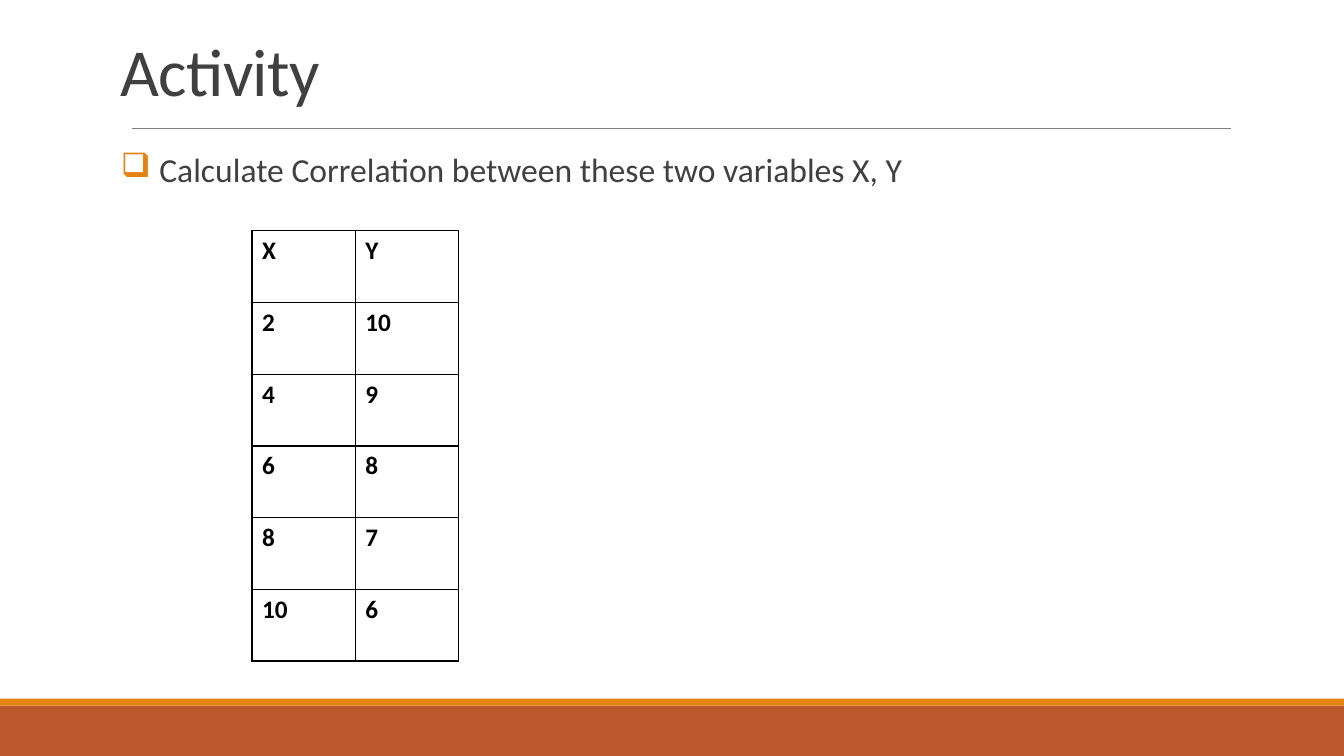
from lxml import etree
from pptx import Presentation, util as u
from pptx.dml.color import RGBColor
from pptx.enum import shapes, text
from pptx.oxml.ns import qn

WIDTH, HEIGHT = u.Inches(13.33), u.Inches(7.5)
FONT = "Calibri"
COLORS = {"base": "BD582C", "accent": "E48312", "rule": "808080",
          "text": "404040", "grid": "000000"}
POINTS = [("X", "Y"), (2, 10), (4, 9), (6, 8), (8, 7), (10, 6)]


def across(percent):
    return u.Emu(round(WIDTH * percent / 100))


def down(percent):
    return u.Emu(round(HEIGHT * percent / 100))


def area(left, top, width, height):
    """Turn percentages of the slide into a position and size."""
    return across(left), down(top), across(width), down(height)


def color(name):
    return RGBColor.from_string(COLORS[name])


def add_solid(parent, name):
    fill = etree.SubElement(parent, qn("a:solidFill"))
    etree.SubElement(fill, qn("a:srgbClr"), val=COLORS[name])


def write(frame, wording, size, ink="text", bold=False, line=1.0,
          after=0, tracking=None, bullet=None, indent=0):
    """Fill a text frame with one formatted paragraph."""
    frame.word_wrap = True
    paragraph = frame.paragraphs[0]
    paragraph.line_spacing = line
    paragraph.space_before = u.Pt(0)
    paragraph.space_after = u.Pt(after)
    if bullet:
        props = paragraph._p.get_or_add_pPr()
        props.set("marL", str(u.Inches(indent)))
        props.set("indent", str(-u.Inches(indent)))
        tint = etree.SubElement(props, qn("a:buClr"))
        etree.SubElement(tint, qn("a:srgbClr"), val=COLORS["accent"])
        etree.SubElement(props, qn("a:buChar"), char=bullet)
    run = paragraph.add_run()
    run.text = wording
    run.font.name, run.font.size, run.font.bold = FONT, u.Pt(size), bold
    run.font.color.rgb = color(ink)
    if tracking:
        run._r.get_or_add_rPr().set("spc", str(round(tracking * 100)))


def add_band(slide, top, height, name):
    band = slide.shapes.add_shape(shapes.MSO_SHAPE.RECTANGLE,
                                  *area(0, top, 100, height))
    band.shadow.inherit = False
    band.fill.solid()
    band.fill.fore_color.rgb = color(name)
    band.line.fill.background()


def add_rule(slide, start, end, level):
    rule = slide.shapes.add_connector(shapes.MSO_CONNECTOR.STRAIGHT, across(start),
                                      down(level), across(end), down(level))
    rule.line.color.rgb = color("rule")
    rule.line.width = u.Pt(0.5)
    etree.SubElement(rule._element.spPr, qn("a:effectLst"))


def add_title(slide, wording):
    frame = slide.shapes.add_textbox(*area(8.25, 0.8, 82.5, 14.4)).text_frame
    frame.vertical_anchor = text.MSO_ANCHOR.BOTTOM
    write(frame, wording, 48, line=0.85, tracking=-0.5)


def add_task(slide, wording):
    frame = slide.shapes.add_textbox(*area(9, 19.6, 82.5, 66)).text_frame
    frame.margin_left = frame.margin_right = 0
    write(frame, wording, 24, line=0.9, after=2, bullet="❑", indent=0.38)


def outline(cell):
    props = cell._tc.get_or_add_tcPr()
    for place, side in enumerate(("a:lnL", "a:lnR", "a:lnT", "a:lnB")):
        border = etree.Element(qn(side), w=str(u.Pt(1)))
        add_solid(border, "grid")
        props.insert(place, border)


def add_points(slide, points, left, top, column, row):
    rows, columns = len(points), len(points[0])
    grid = slide.shapes.add_table(rows, columns, *area(
        left, top, column * columns, row * rows)).table
    grid.first_row = grid.horz_banding = False
    for r, values in enumerate(points):
        for c, value in enumerate(values):
            cell = grid.cell(r, c)
            cell.fill.background()
            outline(cell)
            write(cell.text_frame, str(value), 18, ink="grid", bold=True)


def main():
    deck = Presentation()
    deck.slide_width, deck.slide_height = WIDTH, HEIGHT
    slide = deck.slides.add_slide(deck.slide_layouts[6])
    add_band(slide, 93.33, 6.67, "base")
    add_band(slide, 92.4, 0.93, "accent")
    add_rule(slide, 9.83, 91.6, 16.93)
    add_title(slide, "Activity")
    add_task(slide, "Calculate Correlation between these two variables X, Y")
    add_points(slide, POINTS, left=18.75, top=30.53, column=7.68, row=9.49)
    deck.save("out.pptx")


if __name__ == "__main__":
    main()
